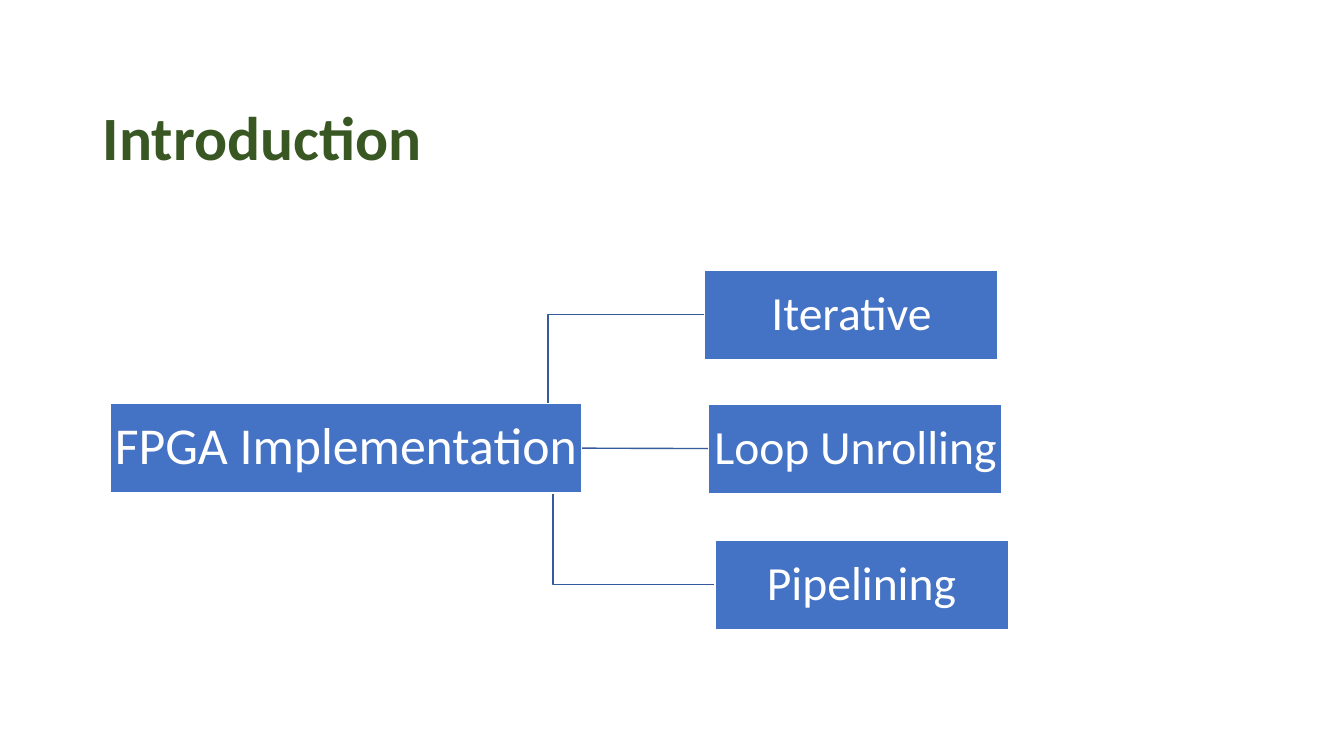
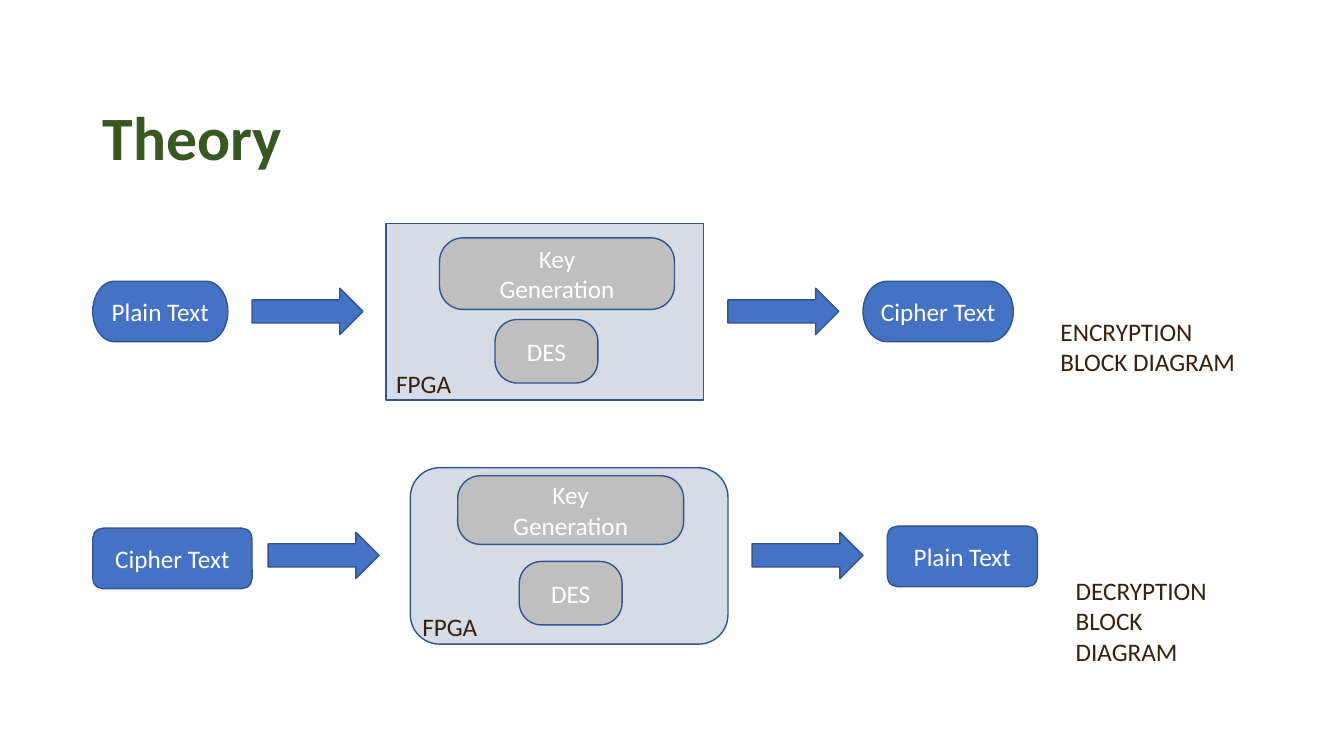
import pptx
import pptx.util
import pptx.dml.color
import pptx.enum.shapes
import pptx.enum.text
import lxml.etree

SHAPE = pptx.enum.shapes.MSO_SHAPE
LINK = pptx.enum.shapes.MSO_CONNECTOR
ALIGN = pptx.enum.text.PP_ALIGN
ANCHOR = pptx.enum.text.MSO_ANCHOR
HUES = {
    "title": "385723", "blue": "4472C4", "edge": "325491", "link": "365B9D",
    "panel": "D6DCE5", "gray": "BFBFBF", "white": "FFFFFF", "note": "382010",
}


def px(count):
    return pptx.util.Emu(count * 9144)


def hue(name):
    return pptx.dml.color.RGBColor.from_string(HUES[name])


class Deck:
    font = "Calibri"

    def __init__(self):
        self.file = pptx.Presentation()
        self.file.slide_width = px(1333)
        self.file.slide_height = px(750)
        self.slide = None

    def style(self, frame, text, size, color, align, space=1.0, bold=False):
        frame.text = text
        for para in frame.paragraphs:
            para.alignment = align
            para.line_spacing = space
            for run in para.runs:
                run.font.name = self.font
                run.font.size = pptx.util.Pt(size)
                run.font.bold = bold
                run.font.color.rgb = hue(color)

    def page(self, text):
        self.slide = self.file.slides.add_slide(self.file.slide_layouts[5])
        title = self.slide.shapes.title
        title.left, title.top, title.width, title.height = map(px, (92, 67, 1150, 145))
        title.text_frame.vertical_anchor = ANCHOR.MIDDLE
        self.style(title.text_frame, text, 44, "title", ALIGN.LEFT, 0.9, True)

    def box(self, kind, at, text="", fill="blue", edge="edge", size=18,
            space=1.0, inset=None, curve=None):
        shape = self.slide.shapes.add_shape(kind, *map(px, at))
        shape.shadow.inherit = False
        shape.fill.solid()
        shape.fill.fore_color.rgb = hue(fill)
        shape.line.color.rgb = hue(edge)
        shape.line.width = pptx.util.Pt(1)
        if curve is not None:
            shape.adjustments[0] = curve
        if text:
            frame = shape.text_frame
            frame.vertical_anchor = ANCHOR.MIDDLE
            if inset is not None:
                frame.margin_left = frame.margin_right = px(inset)
                frame.margin_top = frame.margin_bottom = px(inset)
            self.style(frame, text, size, "white", ALIGN.CENTER, space)

    def note(self, at, text):
        frame = self.slide.shapes.add_textbox(*map(px, at)).text_frame
        frame.word_wrap = True
        self.style(frame, text, 18, "note", ALIGN.LEFT)

    def link(self, kind, start, end):
        line = self.slide.shapes.add_connector(kind, *map(px, start + end))
        line.line.color.rgb = hue("link")
        line.line.width = pptx.util.Pt(1)
        props = line._element.spPr
        lxml.etree.SubElement(props, pptx.oxml.ns.qn("a:effectLst"))

    def tree(self, root, leaves):
        high = 89
        start = (388, 444)
        for text, left, top in leaves:
            mid = top + high // 2
            kind = LINK.STRAIGHT if abs(mid - start[1]) < 2 else LINK.ELBOW
            self.link(kind, start, (left, mid))
        look = {"edge": "white", "space": 0.9}
        self.box(SHAPE.RECTANGLE, (109, 400, 468, high), root, size=37, inset=3, **look)
        for text, left, top in leaves:
            self.box(SHAPE.RECTANGLE, (left, top, 291, high), text, size=34, inset=2, **look)

    def flow(self, left, top, panel, ends, first, last, arrow, key, des, tag):
        self.box(ends, first[1], first[0])
        self.box(ends, last[1], last[0])
        self.box(panel, (left, top, 315, 175), fill="panel")
        for start in (arrow, left + 339):
            self.box(SHAPE.RIGHT_ARROW, (start, top + 64, 110, 46))
        self.box(SHAPE.ROUNDED_RECTANGLE, key, "Key\nGeneration", "gray", curve=0.33)
        self.box(SHAPE.ROUNDED_RECTANGLE, (left + 108, top + des, 102, 63),
                 "DES", "gray", curve=0.35)
        self.note((left + tag, top + 138, 79, 37), "FPGA")


def main():
    deck = Deck()

    deck.page("Introduction")
    deck.tree("FPGA Implementation", [
        ("Iterative", 699, 268),
        ("Loop Unrolling", 703, 401),
        ("Pipelining", 709, 536),
    ])

    deck.page("Theory")
    deck.flow(383, 222, SHAPE.FLOWCHART_PROCESS, SHAPE.FLOWCHART_TERMINATOR,
              ("Plain Text", (92, 279, 134, 60)),
              ("Cipher Text", (856, 279, 149, 60)),
              250, (436, 236, 233, 71), 95, 0)
    deck.note((1042, 309, 200, 71), "ENCRYPTION\nBLOCK DIAGRAM")
    deck.flow(407, 464, SHAPE.ROUNDED_RECTANGLE, SHAPE.ROUNDED_RECTANGLE,
              ("Cipher Text", (92, 524, 158, 60)),
              ("Plain Text", (880, 522, 149, 60)),
              266, (454, 472, 224, 68), 93, 2)
    deck.note((1057, 566, 180, 102), "DECRYPTION\nBLOCK DIAGRAM")

    deck.file.save("out.pptx")


if __name__ == "__main__":
    main()
